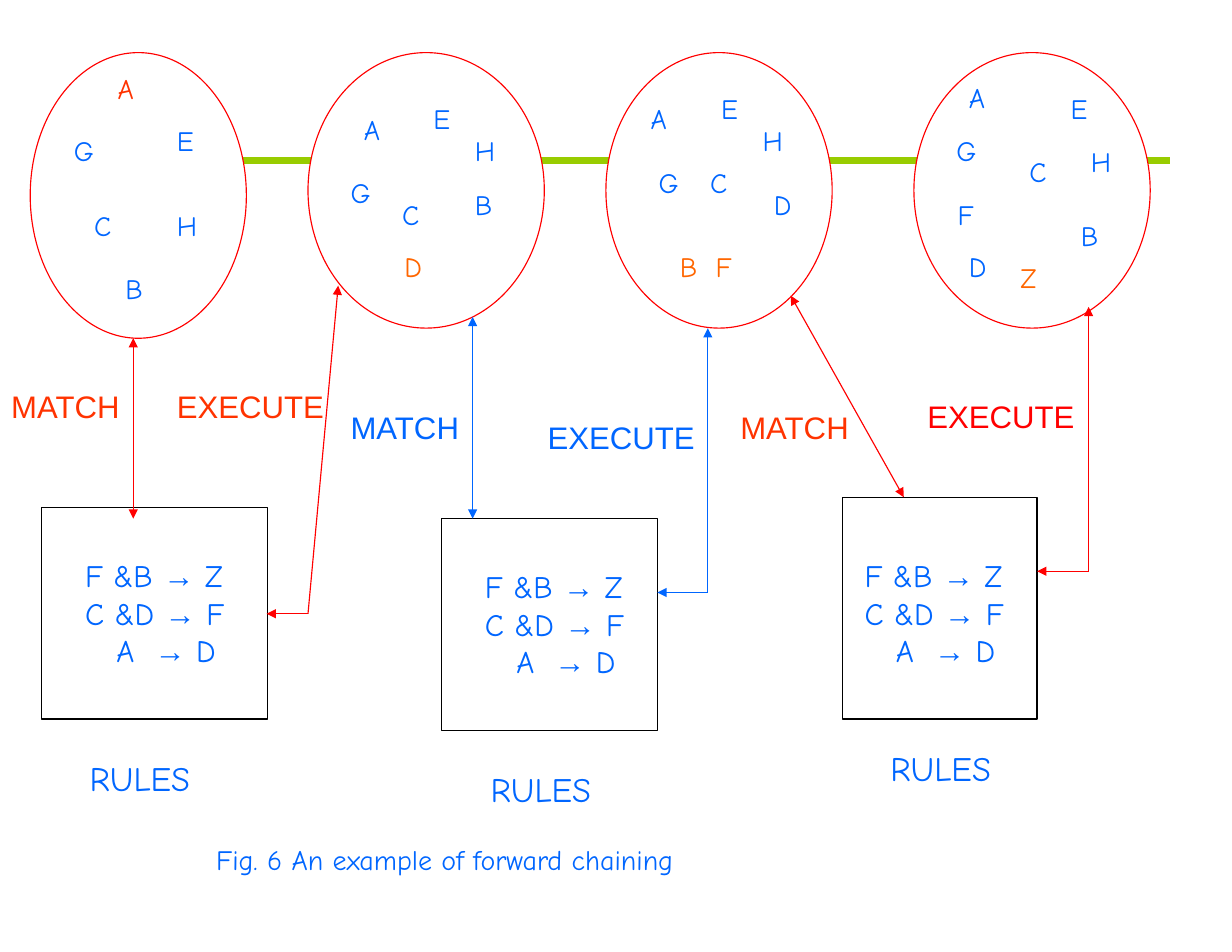
from typing import NamedTuple

from lxml import etree
from pptx import Presentation
from pptx.dml.color import RGBColor
from pptx.enum.shapes import MSO_CONNECTOR, MSO_SHAPE
from pptx.enum.text import MSO_AUTO_SIZE
from pptx.oxml.ns import qn
from pptx.util import Emu, Pt

STRAIGHT = MSO_CONNECTOR.STRAIGHT
OVAL = MSO_SHAPE.OVAL
RECTANGLE = MSO_SHAPE.RECTANGLE
FIT_SHAPE = MSO_AUTO_SIZE.SHAPE_TO_FIT_TEXT

EMU_PER_PX = 9144
RED, BLUE, ORANGE, VERMILION = "FF0000", "0066FF", "FF6600", "FF3300"
GREEN, BLACK, WHITE = "98CC00", "000000", "FFFFFF"
HAND, SANS = "Comic Neue", "Arial"
THIN = 0.75
LETTER_WIDTHS = {"A": 37, "E": 37, "F": 37, "Z": 37, "B": 38, "C": 38, "D": 38, "G": 40, "H": 40}
RULE_LINES = ["F &B → Z", "C &D → F", "\tA\t→ D"]
RULE_TABS = [28, 62]


class Box(NamedTuple):
    left: int
    top: int
    width: int
    height: int


class Fact(NamedTuple):
    letter: str
    left: int
    top: int
    color: str = BLUE


class Database(NamedTuple):
    oval: Box
    facts: list[Fact]


class RuleBase(NamedTuple):
    frame: Box
    rules_at: tuple[int, int]
    title_at: tuple[int, int]


class Link(NamedTuple):
    start: tuple[int, int]
    end: tuple[int, int]
    color: str
    both_ends: bool = False


class Label(NamedTuple):
    text: str
    box: Box
    color: str
    size: int = 20
    font: str = SANS


DATABASES = [
    Database(Box(27, 47, 193, 255), [
        Fact("A", 94, 58, VERMILION), Fact("B", 101, 236), Fact("G", 55, 113),
        Fact("C", 73, 180), Fact("E", 147, 104), Fact("H", 147, 180),
    ]),
    Database(Box(275, 47, 211, 246), [
        Fact("D", 350, 217, ORANGE), Fact("A", 314, 94), Fact("E", 376, 85),
        Fact("G", 302, 151), Fact("C", 348, 170), Fact("B", 413, 161), Fact("H", 413, 113),
    ]),
    Database(Box(541, 47, 202, 246), [
        Fact("B", 596, 217, ORANGE), Fact("F", 628, 217, ORANGE), Fact("A", 570, 85),
        Fact("E", 633, 76), Fact("G", 577, 142), Fact("C", 623, 142),
        Fact("H", 670, 104), Fact("D", 680, 161),
    ]),
    Database(Box(816, 47, 211, 246), [
        Fact("Z", 900, 227, ORANGE), Fact("A", 854, 66), Fact("G", 843, 113),
        Fact("F", 844, 170), Fact("D", 854, 217), Fact("E", 945, 76),
        Fact("H", 963, 123), Fact("B", 954, 189), Fact("C", 908, 132),
    ]),
]
RULE_BASES = [
    RuleBase(Box(37, 453, 202, 189), (65, 491), (69, 670)),
    RuleBase(Box(394, 463, 193, 189), (422, 501), (427, 680)),
    RuleBase(Box(752, 444, 174, 198), (761, 491), (784, 661)),
]
LINKS = [
    Link((119, 302), (119, 463), RED, True),
    Link((275, 548), (302, 255), RED),
    Link((275, 548), (238, 548), RED),
    Link((422, 283), (422, 463), BLUE, True),
    Link((632, 529), (632, 293), BLUE),
    Link((632, 529), (587, 529), BLUE),
    Link((706, 264), (807, 444), RED, True),
    Link((972, 510), (972, 274), RED),
    Link((972, 510), (926, 510), RED),
]
LABELS = [
    Label("MATCH", Box(-1, 340, 121, 45), VERMILION),
    Label("EXECUTE", Box(147, 340, 154, 45), VERMILION),
    Label("MATCH", Box(302, 359, 121, 45), BLUE),
    Label("EXECUTE", Box(478, 368, 154, 45), BLUE),
    Label("MATCH", Box(650, 359, 121, 45), VERMILION),
    Label("EXECUTE", Box(817, 349, 154, 45), RED),
    Label("Fig. 6 An example of forward chaining", Box(182, 746, 441, 41), BLUE, 18, HAND),
]
FRAME_FORMAT = {
    "margin_left": Emu(11 * EMU_PER_PX),
    "margin_right": Emu(11 * EMU_PER_PX),
    "margin_top": Emu(6 * EMU_PER_PX),
    "margin_bottom": Emu(6 * EMU_PER_PX),
    "word_wrap": False,
    "auto_size": FIT_SHAPE,
}


def px(value: int) -> Emu:
    return Emu(value * EMU_PER_PX)


def rgb(color: str) -> RGBColor:
    return RGBColor.from_string(color)


def draw_outline(slide, kind, box: Box, color: str) -> None:
    shape = slide.shapes.add_shape(kind, *map(px, box))
    shape.shadow.inherit = False
    shape.fill.solid()
    shape.fill.fore_color.rgb = rgb(WHITE)
    shape.line.color.rgb = rgb(color)
    shape.line.width = Pt(THIN)


def draw_line(slide, start, end, color: str, width: float, arrows: tuple[str, ...] = ()) -> None:
    connector = slide.shapes.add_connector(STRAIGHT, *map(px, (*start, *end)))
    connector.line.color.rgb = rgb(color)
    connector.line.width = Pt(width)
    for arrow in arrows:
        etree.SubElement(connector.line._get_or_add_ln(), qn(f"a:{arrow}"), type="triangle")
    etree.SubElement(connector._element.spPr, qn("a:effectLst"))


def add_tabs(paragraph, positions: list[int]) -> None:
    tab_list = etree.SubElement(paragraph._p.get_or_add_pPr(), qn("a:tabLst"))
    for position in positions:
        etree.SubElement(tab_list, qn("a:tab"), pos=str(px(position)), algn="l")


def add_run(paragraph, text: str, font: str, size: int, color: str) -> None:
    run = paragraph.add_run()
    run.text = text
    for name, value in {"name": font, "size": Pt(size)}.items():
        setattr(run.font, name, value)
    run.font.color.rgb = rgb(color)


def add_frame(slide, box: Box):
    text_frame = slide.shapes.add_textbox(*map(px, box)).text_frame
    for name, value in FRAME_FORMAT.items():
        setattr(text_frame, name, value)
    return text_frame


def draw_label(slide, label: Label) -> None:
    paragraph = add_frame(slide, label.box).paragraphs[0]
    add_run(paragraph, label.text, label.font, label.size, label.color)


def draw_database(slide, database: Database) -> None:
    draw_outline(slide, OVAL, database.oval, RED)
    for fact in database.facts:
        box = Box(fact.left, fact.top, LETTER_WIDTHS[fact.letter], 41)
        draw_label(slide, Label(fact.letter, box, fact.color, 18, HAND))


def draw_rule_base(slide, rule_base: RuleBase) -> None:
    draw_outline(slide, RECTANGLE, rule_base.frame, BLACK)
    text_frame = add_frame(slide, Box(*rule_base.rules_at, 147, 111))
    for index, line in enumerate(RULE_LINES):
        paragraph = text_frame.add_paragraph() if index else text_frame.paragraphs[0]
        if "\t" in line:
            add_tabs(paragraph, RULE_TABS)
        condition, arrow, result = line.partition("→")
        for text, font in ((condition, HAND), (arrow, SANS), (result, HAND)):
            add_run(paragraph, text, font, 20, BLUE)
    draw_label(slide, Label("RULES", Box(*rule_base.title_at, 112, 48), BLUE, 22, HAND))


def main() -> None:
    presentation = Presentation()
    presentation.slide_width, presentation.slide_height = px(1100), px(850)
    slide = presentation.slides.add_slide(presentation.slide_layouts[6])
    draw_line(slide, (52, 143), (1045, 143), GREEN, 4.45)
    for database in DATABASES:
        draw_database(slide, database)
    for rule_base in RULE_BASES:
        draw_rule_base(slide, rule_base)
    for link in LINKS:
        arrows = ("headEnd", "tailEnd") if link.both_ends else ("tailEnd",)
        draw_line(slide, link.start, link.end, link.color, THIN, arrows)
    for label in LABELS:
        draw_label(slide, label)
    presentation.save("out.pptx")


if __name__ == "__main__":
    main()
